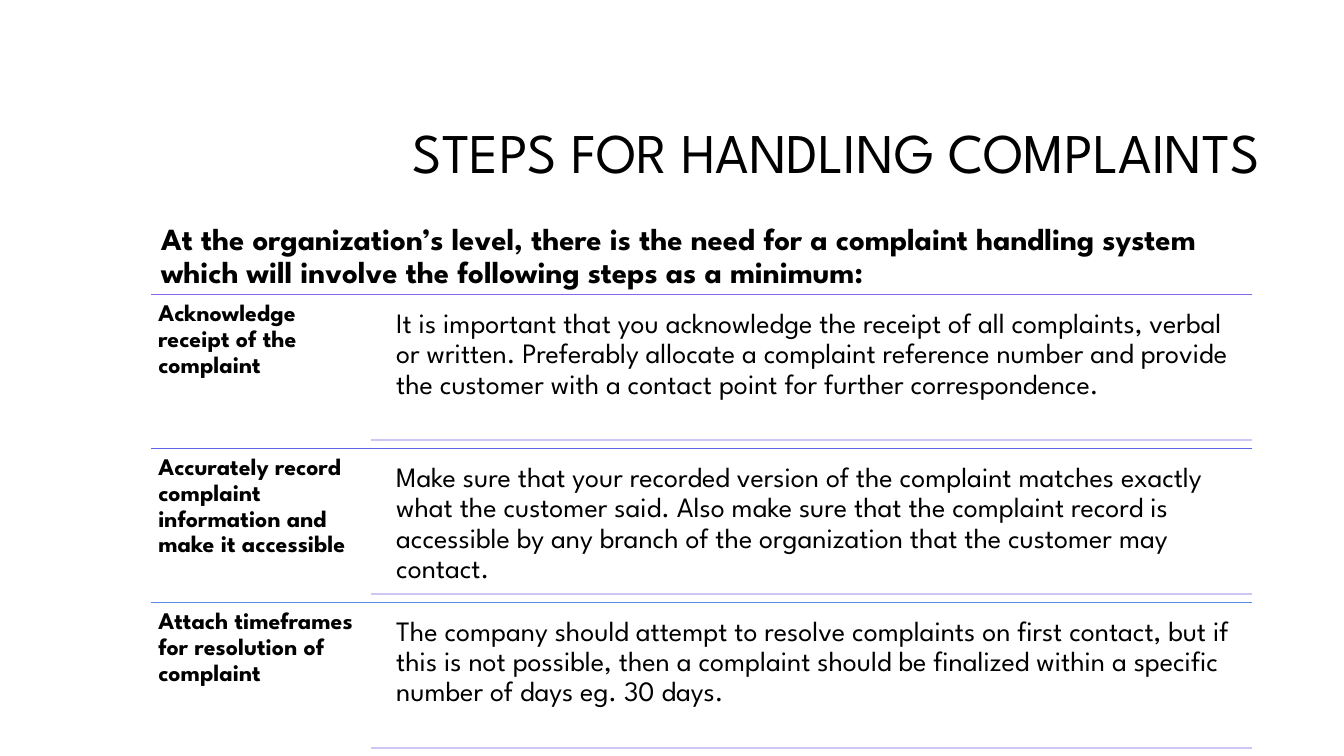
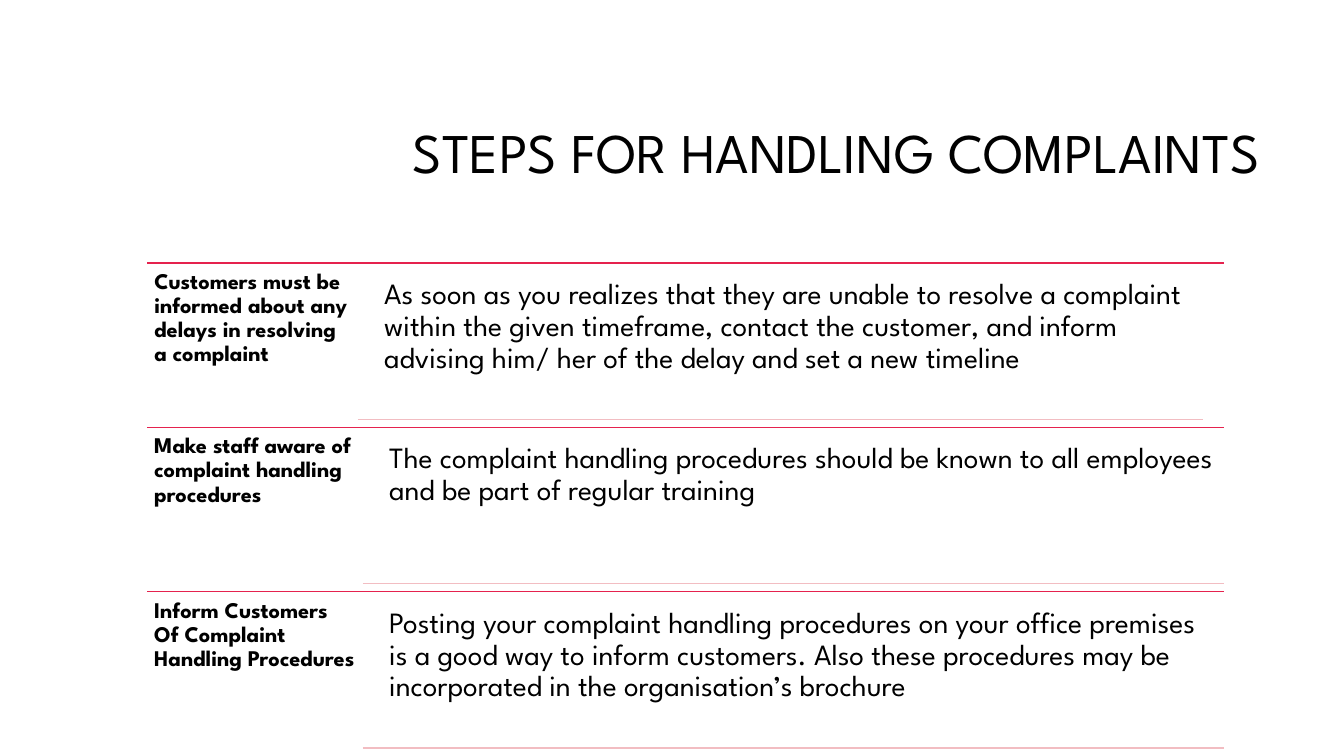
"""Build two slides on the steps for handling complaints."""
from dataclasses import dataclass

from lxml import etree
from pptx import Presentation
from pptx.dml.color import RGBColor
from pptx.enum.shapes import MSO_CONNECTOR
from pptx.enum.text import MSO_ANCHOR, PP_ALIGN
from pptx.oxml.ns import qn
from pptx.util import Inches, Pt

STRAIGHT = MSO_CONNECTOR.STRAIGHT
TOP, MIDDLE = MSO_ANCHOR.TOP, MSO_ANCHOR.MIDDLE
LEFT, RIGHT = PP_ALIGN.LEFT, PP_ALIGN.RIGHT


@dataclass(frozen=True)
class Theme:
    font: str = "League Spartan"
    ink: str = "000000"
    violet: str = "8D65EA"
    indigo: str = "5E65E6"
    blue: str = "588FE2"
    lilac: str = "D0C6F5"
    red: str = "E5224E"
    pink: str = "F2BDC2"
    title: int = 40
    intro: int = 22
    fine: float = 0.75
    thin: float = 1


@dataclass(frozen=True)
class Grid:
    left: float
    top: float
    right: float
    label: int
    body: int
    pad: float
    rule: float
    soft: str


@dataclass(frozen=True)
class Step:
    label: str
    body: str
    color: str
    side: float
    end: float


class Deck:
    def __init__(self, theme):
        self.theme = theme
        self.prs = Presentation()
        self.prs.slide_width = Inches(13.33)
        self.prs.slide_height = Inches(7.5)
        self.slide = None

    def page(self, title):
        self.slide = self.prs.slides.add_slide(self.prs.slide_layouts[6])
        self.text(title, (2.6, 0.84, 9.99, 1.41), self.theme.title,
                  align=RIGHT, anchor=MIDDLE, pad=(0.1, 0.05))

    def text(self, words, area, size, bold=False, align=LEFT, anchor=TOP,
             pad=(0.07, 0.07)):
        box = self.slide.shapes.add_textbox(*map(Inches, area))
        frame = box.text_frame
        frame.text = words
        frame.word_wrap = True
        frame.vertical_anchor = anchor
        frame.margin_left = frame.margin_right = Inches(pad[0])
        frame.margin_top = frame.margin_bottom = Inches(pad[1])
        para = frame.paragraphs[0]
        para.alignment = align
        para.line_spacing = 0.9
        font = para.runs[0].font
        font.name = self.theme.font
        font.size = Pt(size)
        font.bold = bold
        font.color.rgb = RGBColor.from_string(self.theme.ink)

    def rule(self, start, end, y, color, width):
        line = self.slide.shapes.add_connector(
            STRAIGHT, Inches(start), Inches(y), Inches(end), Inches(y))
        line.line.color.rgb = RGBColor.from_string(color)
        line.line.width = Pt(width)
        etree.SubElement(line._element.spPr, qn("a:effectLst"))

    def steps(self, grid, items):
        pitch = (7.5 - grid.top) / len(items)
        for row, item in enumerate(items):
            top = grid.top + row * pitch
            split = grid.left + item.side
            start = split + 0.17
            self.rule(grid.left, grid.right, top, item.color, grid.rule)
            self.text(item.label, (grid.left, top, item.side, pitch),
                      grid.label, bold=True)
            self.text(item.body,
                      (start, top + 0.07, grid.right - start, pitch - 0.15),
                      grid.body, pad=(grid.pad, grid.pad))
            self.rule(split, item.end, top + pitch - 0.08, grid.soft,
                      self.theme.thin)


def main():
    theme = Theme()
    deck = Deck(theme)
    title = "STEPS FOR HANDLING COMPLAINTS"

    deck.page(title)
    deck.steps(Grid(1.5, 2.92, 12.42, 17, 20, 0.08, theme.fine, theme.lilac), [
        Step("Acknowledge receipt of the complaint",
             "It is important that you acknowledge the receipt of all "
             "complaints, verbal or written. Preferably allocate a complaint "
             "reference number and provide the customer with a contact point "
             "for further correspondence.", theme.violet, 2.18, 12.42),
        Step("Accurately record complaint information and make it accessible",
             "Make sure that your recorded version of the complaint matches "
             "exactly what the customer said. Also make sure that the "
             "complaint record is accessible by any branch of the "
             "organization that the customer may contact.",
             theme.indigo, 2.18, 12.42),
        Step("Attach timeframes for resolution of complaint",
             "The company should attempt to resolve complaints on first "
             "contact, but if this is not possible, then a complaint should "
             "be finalized within a specific number of days eg. 30 days.",
             theme.blue, 2.18, 12.42),
    ])
    deck.text("At the organization’s level, there is the need for a complaint "
              "handling system which will involve the following steps as a "
              "minimum:", (1.5, 2.17, 10.54, 0.77), theme.intro, bold=True,
              pad=(0.1, 0.05))

    deck.page(title)
    deck.steps(Grid(1.46, 2.61, 12.14, 16, 21, 0.09, theme.thin, theme.pink), [
        Step("Customers must be informed about any delays in resolving a "
             "complaint",
             "As soon as you realizes that they are unable to resolve a "
             "complaint within the given timeframe, contact the customer, and "
             "inform advising him/ her of the delay and set a new timeline",
             theme.red, 2.09, 11.93),
        Step("Make staff aware of complaint handling procedures",
             "The complaint handling procedures should be known to all "
             "employees and be part of regular training",
             theme.red, 2.14, 12.14),
        Step("Inform Customers Of Complaint Handling Procedures",
             "Posting your complaint handling procedures on your office "
             "premises is a good way to inform customers. Also these "
             "procedures may be incorporated in the organisation’s brochure",
             theme.red, 2.14, 12.14),
    ])
    deck.prs.save("out.pptx")


if __name__ == "__main__":
    main()
